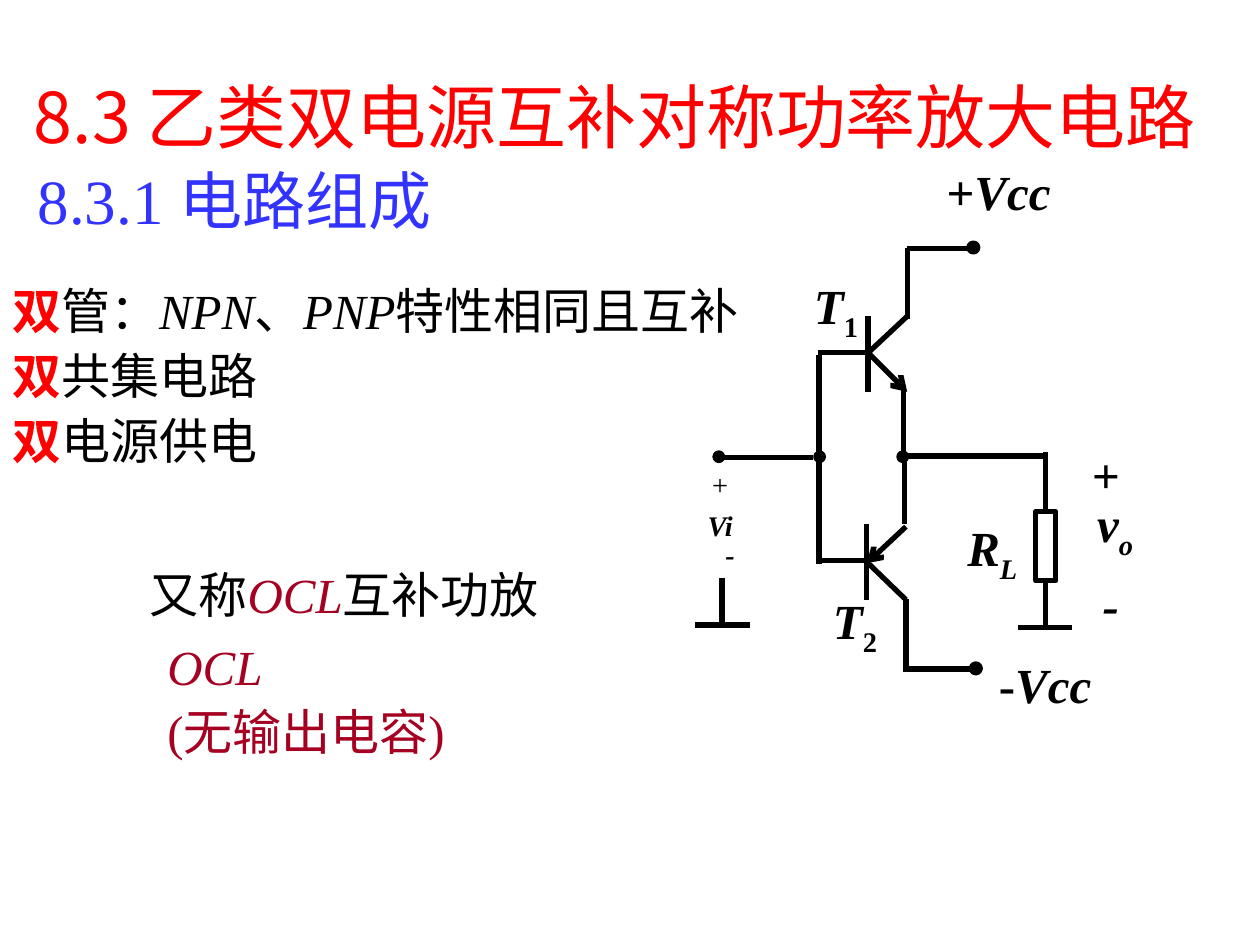
from pptx import Presentation
from pptx.dml.color import RGBColor
from pptx.enum.shapes import MSO_CONNECTOR as CONNECTOR, MSO_SHAPE as SHAPE
from pptx.enum.text import MSO_ANCHOR as ANCHOR, PP_ALIGN as ALIGN
from pptx.oxml.ns import qn
from pptx.util import Inches, Pt
from lxml.etree import SubElement

COLORS = {"black": "000000", "white": "FFFFFF", "red": "FF0000",
          "blue": "3333FF", "crimson": "A50021"}
SERIF, SANS = "Times New Roman", "Noto Sans CJK SC"

deck = Presentation()
deck.slide_width, deck.slide_height = Inches(10), Inches(7.5)
page = deck.slides.add_slide(deck.slide_layouts[6])


def write(place, paragraphs, size=28, font=SERIF, anchor=ANCHOR.TOP,
          align=ALIGN.LEFT, wrap=True):
    """Add a text box; a run is (text, colour, style), style using b, i and s (subscript)."""
    box = page.shapes.add_textbox(*map(Inches, place))
    frame = box.text_frame
    frame.word_wrap = wrap
    frame.vertical_anchor = anchor
    for index, runs in enumerate(paragraphs):
        para = frame.paragraphs[0] if index == 0 else frame.add_paragraph()
        para.alignment = align
        if index:
            para.space_before = Pt(3.5)
        # Chinese glyphs have tall metrics, so their serif lines get a fixed pitch
        if font == SERIF and any(not text.isascii() for text, _, _ in runs):
            para.line_spacing = Pt(round(size * 1.2, 1))
        for text, color, style in runs:
            span = para.add_run()
            span.text = text
            span.font.size = Pt(size)
            span.font.name = font
            span.font.bold = "b" in style
            span.font.italic = "i" in style
            span.font.color.rgb = RGBColor.from_string(COLORS[color])
            properties = span.font._element
            SubElement(properties, qn("a:ea")).set("typeface", SANS)
            if "s" in style:
                properties.set("baseline", "-25000")
    return box


def wire(x1, y1, x2, y2, arrow=False):
    line = page.shapes.add_connector(CONNECTOR.STRAIGHT, *map(Inches, (x1, y1, x2, y2)))
    line.line.width = Pt(3)
    line.line.color.rgb = RGBColor.from_string(COLORS["black"])
    if arrow:
        SubElement(line.line._get_or_add_ln(), qn("a:tailEnd")).set("type", "arrow")
    SubElement(line._element.spPr, qn("a:effectLst"))
    return line


# Headings and notes
title = write((0, 0.25, 10, 1.33), [[("8.3 乙类双电源互补对称功率放大电路", "red", "")]],
              size=40, font=SANS, anchor=ANCHOR.MIDDLE)
title.text_frame.margin_left = Inches(0.27)
title.text_frame.margin_right = 0
write((0.2, 1.23, 4.02, 0.7), [[("8.3.1 电路组成", "blue", "")]], size=36)
pair = ("双", "red", "b")
write((0, 2.18, 7.83, 1.6), [
    [pair, ("管：", "black", ""), ("NPN", "black", "i"), ("、", "black", ""),
     ("PNP", "black", "i"), ("特性相同且互补", "black", "")],
    [pair, ("共集电路", "black", "")],
    [pair, ("电源供电", "black", "")],
])
write((1.09, 4.43, 3.47, 0.57), [[("又称", "black", ""), ("OCL", "crimson", "i"),
                                  ("互补功放", "black", "")]], wrap=False)
write((1.23, 5, 3.25, 1.09), [[("OCL", "crimson", "i")], [("(无输出电容)", "crimson", "")]])

# Wires
for ends in [
    # Upper transistor T1
    (6.5, 2.82, 6.5, 3.65), (6.89, 2.51, 6.89, 3.11), (7.2, 2.51, 6.89, 2.8),
    (6.89, 2.8, 6.49, 2.8), (7.17, 3.07, 7.17, 3.67), (7.2, 1.97, 7.74, 1.97),
    (7.2, 1.97, 7.2, 2.53),
    # Lower transistor T2
    (6.88, 4.45, 6.49, 4.45), (6.88, 4.16, 6.88, 4.76), (6.88, 4.46, 7.19, 4.76),
    (7.19, 4.75, 7.19, 5.31), (7.17, 5.31, 7.7, 5.31), (6.5, 3.64, 6.5, 4.48),
    (7.18, 3.64, 7.18, 4.16),
    # Output and its ground
    (7.18, 3.62, 8.3, 3.62), (8.08, 4.98, 8.51, 4.98),
    # Input and its ground
    (5.74, 3.63, 6.45, 3.63), (5.73, 4.59, 5.73, 4.96), (5.52, 4.96, 5.95, 4.96),
]:
    wire(*ends)

# Emitters
wire(6.89, 2.8, 7.2, 3.11, arrow=True)
wire(7.19, 4.18, 6.88, 4.47, arrow=True)

# Load resistor and junction dots
dots = [(7.13, 3.59, 2.25), (6.47, 3.59, 2.25), (5.67, 3.59, 2.25),
        (7.69, 1.93, 3), (7.71, 5.27, 3)]
parts = [(SHAPE.OVAL, (x, y, 0.07, 0.07), "black", weight) for x, y, weight in dots]
parts.append((SHAPE.RECTANGLE, (8.22, 4.06, 0.16, 0.55), "white", 3))
for kind, place, fill, weight in parts:
    part = page.shapes.add_shape(kind, *map(Inches, place))
    part.shadow.inherit = False
    part.fill.solid()
    part.fill.fore_color.rgb = RGBColor.from_string(COLORS[fill])
    part.line.color.rgb = RGBColor.from_string(COLORS["black"])
    part.line.width = Pt(weight)
resistor = part
wire(8.3, 3.59, 8.3, 4.06).end_connect(resistor, 0)
wire(8.3, 4.61, 8.3, 4.98).begin_connect(resistor, 2)

# Circuit labels
for place, runs in [
    ((6.18, 2.14, 0.91, 0.63), [("T", "bi"), ("1", "bs")]),
    ((6.33, 4.64, 0.91, 0.63), [("T", "bi"), ("2", "bs")]),
    ((7.28, 1.23, 1.29, 0.57), [("+", "b"), ("Vcc", "bi")]),
    ((7.83, 5.14, 0.93, 0.57), [("-", "b"), ("Vcc", "bi")]),
    ((7.48, 4.06, 0.79, 0.63), [("R", "bi"), ("L", "bis")]),
    ((8.54, 3.87, 0.62, 0.63), [("v", "bi"), ("o", "bis")]),
    ((8.54, 3.48, 0.47, 0.57), [("+", "bi")]),
    ((8.54, 4.51, 0.55, 0.57), [("-", "bi")]),
    ((5.44, 3.72, 0.55, 0.63), [("Vi", "bis")]),
    ((5.44, 3.4, 0.55, 0.63), [("+", "s")]),
    ((5.52, 3.95, 0.55, 0.63), [("-", "bis")]),
]:
    write(place, [[(text, "black", style) for text, style in runs]],
          anchor=ANCHOR.MIDDLE, align=ALIGN.CENTER, wrap=False)

deck.save("out.pptx")
